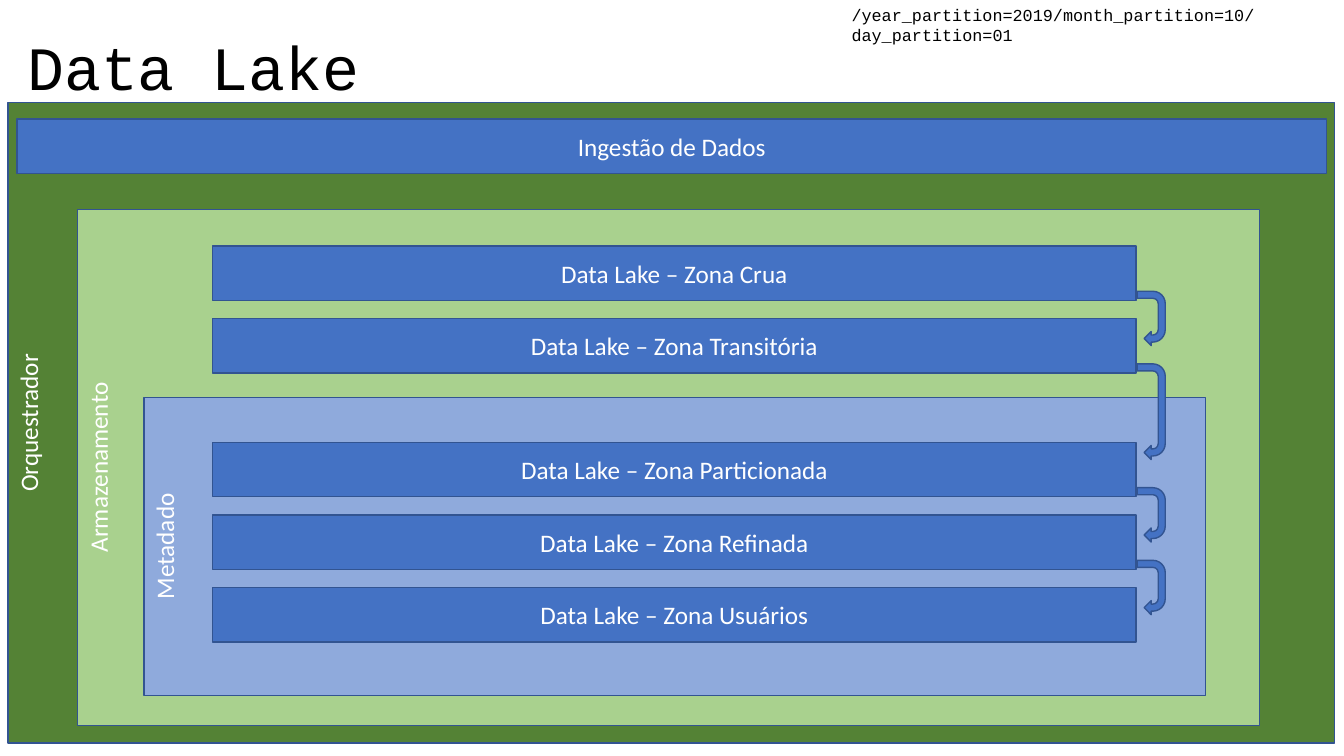
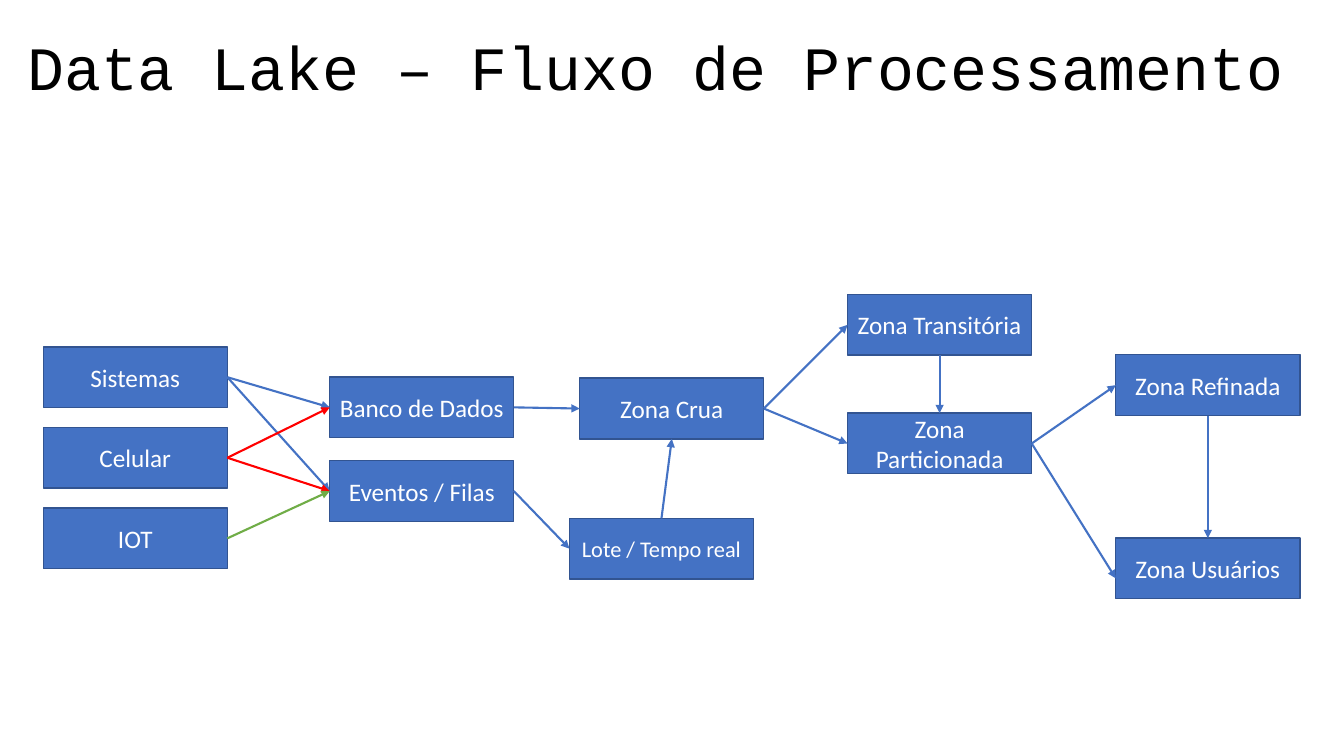
import lxml.etree
import pptx
import pptx.dml.color
import pptx.enum.shapes
import pptx.enum.text
import pptx.oxml.ns
import pptx.util

Cm = pptx.util.Cm
Pt = pptx.util.Pt
SHAPE = pptx.enum.shapes.MSO_SHAPE
ALIGN = pptx.enum.text.PP_ALIGN
ANCHOR = pptx.enum.text.MSO_ANCHOR

BLUE, BLUE_EDGE, PALE_BLUE = "4472C4", "325491", "8FAADC"
DARK_GREEN, PALE_GREEN, GREEN = "548235", "A9D18E", "70AD47"
RED, WHITE, BLACK = "FF0000", "FFFFFF", "000000"

TITLE_FONT = {"name": "Courier New", "size": Pt(44), "bold": False}
PARTITION_FONT = {"name": "Courier New", "size": Pt(12)}
LABEL_FONT = {"name": "Calibri", "size": Pt(18)}
SMALL_LABEL_FONT = {**LABEL_FONT, "size": Pt(16)}

TOP, LEFT, BOTTOM, RIGHT = range(4)

FRAMES = [
    ("Orquestrador", 0.2, 2.59, 33.43, 16.13, DARK_GREEN),
    ("Armazenamento", 1.96, 5.28, 29.79, 13, PALE_GREEN),
    ("Metadado", 3.63, 10.01, 26.75, 7.52, PALE_BLUE),
]
ZONE_LEFT, ZONE_WIDTH, BAR_HEIGHT = 5.36, 23.27, 1.37
ZONE_PITCH = 1.83
ZONE_GROUPS = [
    (6.2, ["Crua", "Transitória"]),
    (11.15, ["Particionada", "Refinada", "Usuários"]),
]
TURN_LENGTHS = [1.37, 2.41, 1.37, 1.37]
TURN_CENTER, TURN_DEPTH, TURN_OFFSET = 29.01, 0.71, 1.14

STEP_WIDTH, STEP_HEIGHT = 4.64, 1.53
STEPS = {
    "Sistemas": (1.09, 8.74),
    "Celular": (1.09, 10.77),
    "IOT": (1.09, 12.8),
    "Banco de Dados": (8.31, 9.5),
    "Eventos / Filas": (8.31, 11.61),
    "Zona Crua": (14.61, 9.53),
    "Lote / Tempo real": (14.35, 13.06),
    "Zona Transitória": (21.36, 7.42),
    "Zona Particionada": (21.36, 10.41),
    "Zona Refinada": (28.12, 8.94),
    "Zona Usuários": (28.12, 13.56),
}
FORWARD_LINKS = [
    ("Sistemas", "Banco de Dados", BLUE),
    ("Sistemas", "Eventos / Filas", BLUE),
    ("Celular", "Banco de Dados", RED),
    ("Celular", "Eventos / Filas", RED),
    ("IOT", "Eventos / Filas", GREEN),
    ("Banco de Dados", "Zona Crua", BLUE),
    ("Eventos / Filas", "Lote / Tempo real", BLUE),
    ("Zona Crua", "Zona Transitória", BLUE),
    ("Zona Crua", "Zona Particionada", BLUE),
    ("Zona Particionada", "Zona Refinada", BLUE),
]
VERTICAL_LINKS = [
    ("Lote / Tempo real", TOP, "Zona Crua", BOTTOM),
    ("Zona Transitória", BOTTOM, "Zona Particionada", TOP),
    ("Zona Refinada", BOTTOM, "Zona Usuários", TOP),
]


def color(hex_text):
    """Return the colour for a hex string."""
    return pptx.dml.color.RGBColor.from_string(hex_text)


def apply_format(target, values):
    """Set every attribute named in a dict of format values."""
    for name, value in values.items():
        setattr(target, name, value)


def write_text(box, text, font, hex_text, align):
    """Write one formatted paragraph into a box."""
    box.text_frame.word_wrap = True
    para = box.text_frame.paragraphs[0]
    para.alignment = align
    span = para.add_run()
    span.text = text
    apply_format(span.font, font)
    span.font.color.rgb = color(hex_text)
    return para


def add_titled_page(deck, title, width):
    """Add a page with a formatted title placeholder."""
    page = deck.slides.add_slide(deck.slide_layouts[5])
    box = page.shapes.title
    apply_format(box, {"left": Cm(0.43), "top": Cm(0),
                       "width": Cm(width), "height": Cm(3.53)})
    apply_format(box.text_frame, {
        "vertical_anchor": ANCHOR.MIDDLE,
        "auto_size": pptx.enum.text.MSO_AUTO_SIZE.NONE,
    })
    para = write_text(box, title, TITLE_FONT, BLACK, ALIGN.LEFT)
    para.line_spacing = 0.9
    return page


def add_block(page, kind, left, top, width, height, fill):
    """Add a filled preset shape with the common outline."""
    box = page.shapes.add_shape(kind, Cm(left), Cm(top), Cm(width), Cm(height))
    box.shadow.inherit = False
    box.fill.solid()
    box.fill.fore_color.rgb = color(fill)
    box.line.color.rgb = color(BLUE_EDGE)
    box.line.width = Pt(1)
    return box


def add_bar(page, text, left, top, width, height, font=LABEL_FONT):
    """Add a blue rectangle with a centred label."""
    box = add_block(page, SHAPE.RECTANGLE, left, top, width, height, BLUE)
    box.text_frame.vertical_anchor = ANCHOR.MIDDLE
    write_text(box, text, font, WHITE, ALIGN.CENTER)
    return box


def add_frame(page, text, left, top, width, height, fill):
    """Add a container whose label runs up its left edge."""
    box = add_block(page, SHAPE.RECTANGLE, left, top, width, height, fill)
    box.text_frame.vertical_anchor = ANCHOR.TOP
    write_text(box, text, LABEL_FONT, WHITE, ALIGN.CENTER)
    box.element.txBody.bodyPr.set("vert", "vert270")


def add_turn(page, top, length):
    """Add a U-turn arrow that runs down from a zone to the next."""
    turn = add_block(page, SHAPE.U_TURN_ARROW, TURN_CENTER - length / 2,
                     top + (length - TURN_DEPTH) / 2, length, TURN_DEPTH, BLUE)
    turn.rotation = 90


def site_point(box, site):
    """Return the middle point of one side of a box."""
    across = {LEFT: 0, RIGHT: box.width}.get(site, box.width // 2)
    down = {TOP: 0, BOTTOM: box.height}.get(site, box.height // 2)
    return box.left + across, box.top + down


def add_link(page, start, start_site, finish, finish_site, hex_text=BLUE, drop=0):
    """Add an arrow between two boxes, ending a drop below the side's middle."""
    end_x, end_y = site_point(finish, finish_site)
    link = page.shapes.add_connector(
        pptx.enum.shapes.MSO_CONNECTOR.STRAIGHT,
        *site_point(start, start_site), end_x, end_y + Cm(drop))
    link.begin_connect(start, start_site)
    if not drop:
        link.end_connect(finish, finish_site)
    link.line.color.rgb = color(hex_text)
    link.line.width = Pt(1.5)
    qn = pptx.oxml.ns.qn
    properties = link.element.spPr
    outline = properties.find(qn("a:ln"))
    lxml.etree.SubElement(outline, qn("a:tailEnd"), type="triangle")
    lxml.etree.SubElement(properties, qn("a:effectLst"))


def build_layers(deck):
    """Build the page with the nested layers of the data lake."""
    page = add_titled_page(deck, "Data Lake", 20.7)
    for frame in FRAMES:
        add_frame(page, *frame)
    partition = page.shapes.add_textbox(Cm(21.21), Cm(0), Cm(12.6), Cm(1.3))
    write_text(partition, "/year_partition=2019/month_partition=10/day_partition=01",
               PARTITION_FONT, BLACK, ALIGN.LEFT)
    add_bar(page, "Ingestão de Dados", 0.43, 3, 33, BAR_HEIGHT)
    tops = []
    for first_top, names in ZONE_GROUPS:
        for index, name in enumerate(names):
            tops.append(first_top + index * ZONE_PITCH)
            add_bar(page, f"Data Lake – Zona {name}",
                    ZONE_LEFT, tops[-1], ZONE_WIDTH, BAR_HEIGHT)
    for top, length in zip(tops, TURN_LENGTHS):
        add_turn(page, top + TURN_OFFSET, length)


def build_flow(deck):
    """Build the page with the processing flow."""
    page = add_titled_page(deck, "Data Lake – Fluxo de Processamento", 32.31)
    boxes = {}
    for name, (left, top) in STEPS.items():
        font = SMALL_LABEL_FONT if name == "Lote / Tempo real" else LABEL_FONT
        boxes[name] = add_bar(page, name, left, top, STEP_WIDTH, STEP_HEIGHT, font)
    for start, finish, hex_text in FORWARD_LINKS:
        add_link(page, boxes[start], RIGHT, boxes[finish], LEFT, hex_text)
    for start, start_site, finish, finish_site in VERTICAL_LINKS:
        add_link(page, boxes[start], start_site, boxes[finish], finish_site)
    add_link(page, boxes["Zona Particionada"], RIGHT,
             boxes["Zona Usuários"], LEFT, drop=0.25)


def main():
    """Build and save the deck."""
    deck = pptx.Presentation()
    apply_format(deck, {"slide_width": Cm(33.87), "slide_height": Cm(19.05)})
    build_layers(deck)
    build_flow(deck)
    deck.save("out.pptx")


if __name__ == "__main__":
    main()
